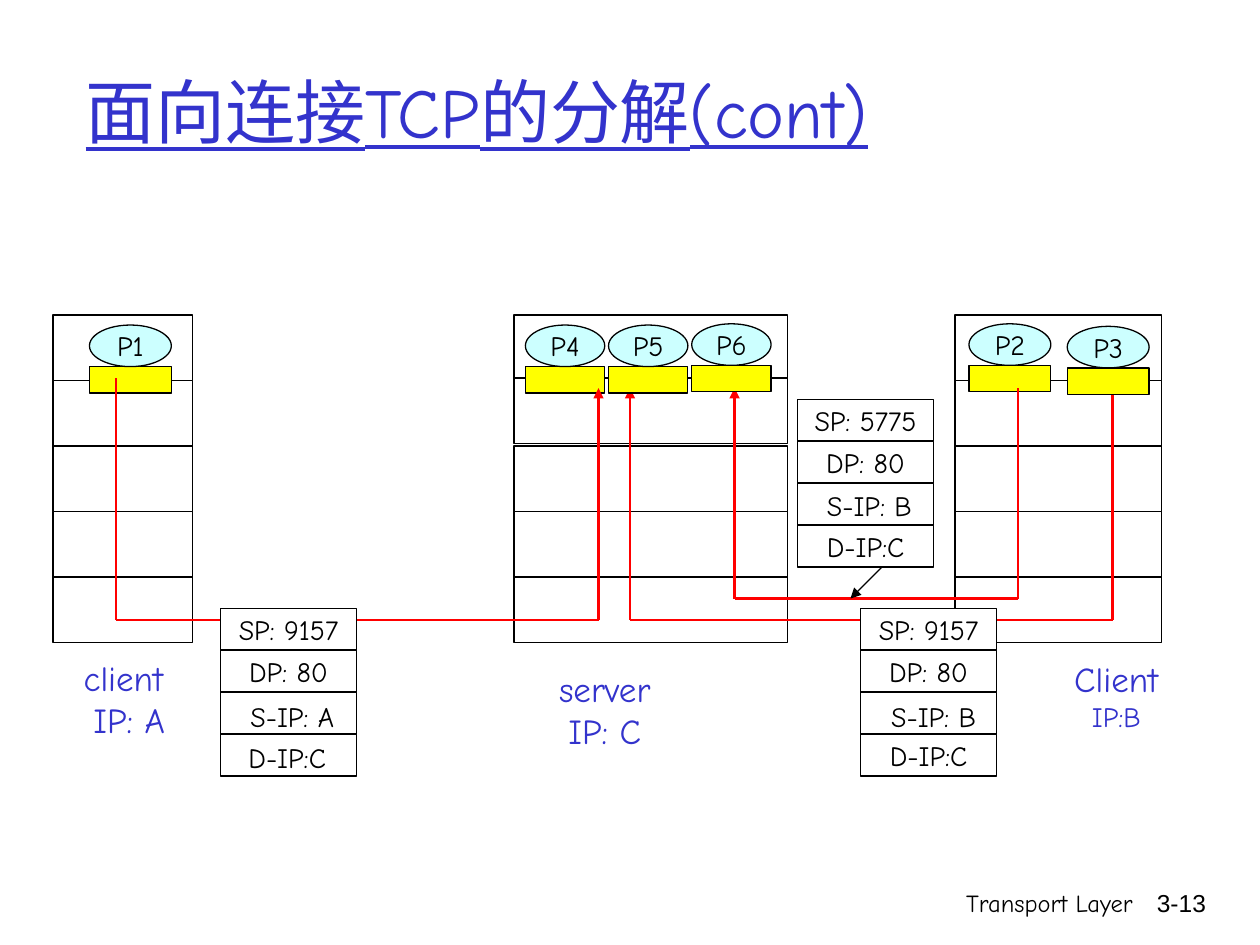
"""Build the slide on connection-oriented TCP demultiplexing."""
from lxml import etree
from pptx import Presentation
from pptx.dml.color import RGBColor
from pptx.enum import shapes, text
from pptx.oxml import ns
from pptx.util import Inches, Pt

BLACK = RGBColor(0x00, 0x00, 0x00)
WHITE = RGBColor(0xFF, 0xFF, 0xFF)
BLUE = RGBColor(0x33, 0x33, 0xCC)
RED = RGBColor(0xFF, 0x00, 0x00)
YELLOW = RGBColor(0xFF, 0xFF, 0x00)
CYAN = RGBColor(0xCC, 0xFF, 0xFF)
FONT = "Comic Neue"
RECT = shapes.MSO_SHAPE.RECTANGLE
OVAL = shapes.MSO_SHAPE.OVAL
CENTER = text.PP_ALIGN.CENTER
RIGHT = text.PP_ALIGN.RIGHT

prs = Presentation()
prs.slide_width, prs.slide_height = Inches(10), Inches(7.5)
s = prs.slides.add_slide(prs.slide_layouts[5])


def box(kind, x, y, w, h, fill, label=""):
    sp = s.shapes.add_shape(kind, Inches(x), Inches(y), Inches(w), Inches(h))
    sp.shadow.inherit = False
    sp.fill.solid()
    sp.fill.fore_color.rgb = fill
    sp.line.color.rgb = BLACK
    sp.line.width = Pt(0.75)
    if label:
        tf = sp.text_frame
        tf.word_wrap = False
        tf.vertical_anchor = text.MSO_ANCHOR.MIDDLE
        p = tf.paragraphs[0]
        p.alignment = CENTER
        r = p.add_run()
        r.text = label
        r.font.name, r.font.size = FONT, Pt(16)
        r.font.color.rgb = BLACK


def line(x1, y1, x2, y2, color, width, arrow=False):
    c = s.shapes.add_connector(shapes.MSO_CONNECTOR.STRAIGHT,
                               Inches(x1), Inches(y1), Inches(x2), Inches(y2))
    c.line.color.rgb = color
    c.line.width = Pt(width)
    spPr = c._element.spPr
    if arrow:
        etree.SubElement(spPr.find(ns.qn("a:ln")), ns.qn("a:tailEnd"), type="triangle")
    etree.SubElement(spPr, ns.qn("a:effectLst"))


title = s.shapes.title
title.left, title.top = Inches(0.58), Inches(0.25)
title.width, title.height = Inches(8.5), Inches(1.25)
tf = title.text_frame
tf.vertical_anchor = text.MSO_ANCHOR.MIDDLE
p = tf.paragraphs[0]
p.alignment = text.PP_ALIGN.LEFT
r = p.add_run()
r.text = "面向连接TCP的分解(cont)"
r.font.name, r.font.size, r.font.underline = FONT, Pt(40), True
r.font.color.rgb = BLUE

for x, w, second in [(0.42, 1.11, 3.02), (7.58, 1.64, 3.02), (4.08, 2.17, 3)]:
    for y in (2.5, second, 3.54, 4.06, 4.58):
        box(RECT, x, y, w, 0.52, WHITE)

processes = [("P1", 0.71, 2.58, 0.65), ("P2", 7.69, 2.57, 0.65), ("P4", 4.17, 2.58, 0.63),
             ("P5", 4.83, 2.58, 0.63), ("P6", 5.49, 2.57, 0.63), ("P3", 8.47, 2.59, 0.65)]
connections = [(0.92, 3, 4.75, 4.92), (8.83, 3, 5, 4.92), (8.08, 3.08, 5.83, 4.75)]
for i, (name, x, y, w) in enumerate(processes):
    if i == 3:
        for x1, top, x2, low in connections:
            line(x1, top, x1, low, RED, 1.5)
            line(x1, low, x2, low, RED, 1.5)
            line(x2, low, x2, 3.08, RED, 1.5, arrow=True)
    box(RECT, x, y + 0.33, w, 0.21, YELLOW)
    box(OVAL, x, y, w, 0.33, CYAN, name)

packets = [(1.75, 4.83, ("SP: 9157", "DP: 80", "", "")),
           (6.83, 4.83, ("SP: 9157", "DP: 80", "", "D-IP:C")),
           (6.33, 3.17, ("SP: 5775", "DP: 80", "", "D-IP:C"))]
for x, y, fields in packets:
    for i, field in enumerate(fields):
        box(RECT, x, y + i / 3, 1.08, 0.33, WHITE, field)
line(7, 4.5, 6.75, 4.75, BLACK, 0.75, arrow=True)

captions = [
    (0.48, 5.16, 1, 0.77, CENTER, BLUE, FONT, [("client", 20), (" IP: A", 20)]),
    (4.3, 5.25, 1, 0.77, CENTER, BLUE, FONT, [("server", 20), ("IP: C", 20)]),
    (8.36, 5.17, 1, 0.7, CENTER, BLUE, FONT, [("Client", 20), ("IP:B", 16)]),
    (1.82, 5.5, 1, 0.37, CENTER, BLACK, FONT, [("S-IP: A", 16)]),
    (1.78, 5.83, 1, 0.37, CENTER, BLACK, FONT, [("D-IP:C", 16)]),
    (6.91, 5.5, 1, 0.37, CENTER, BLACK, FONT, [("S-IP: B", 16)]),
    (6.4, 3.83, 1, 0.37, CENTER, BLACK, FONT, [("S-IP: B", 16)]),
    (5.92, 7, 3.17, 0.5, RIGHT, BLACK, FONT, [("Transport Layer", 14)]),
    (8.93, 7, 0.74, 0.5, RIGHT, BLACK, "Arial", [("3-13", 14)]),
]
for x, y, w, h, align, color, font, rows in captions:
    tf = s.shapes.add_textbox(Inches(x), Inches(y), Inches(w), Inches(h)).text_frame
    tf.word_wrap = align == RIGHT
    if align == CENTER:
        tf.auto_size = text.MSO_AUTO_SIZE.SHAPE_TO_FIT_TEXT
    for i, (words, size) in enumerate(rows):
        p = tf.add_paragraph() if i else tf.paragraphs[0]
        p.alignment = align
        r = p.add_run()
        r.text = words
        r.font.name, r.font.size = font, Pt(size)
        r.font.color.rgb = color

prs.save("out.pptx")
